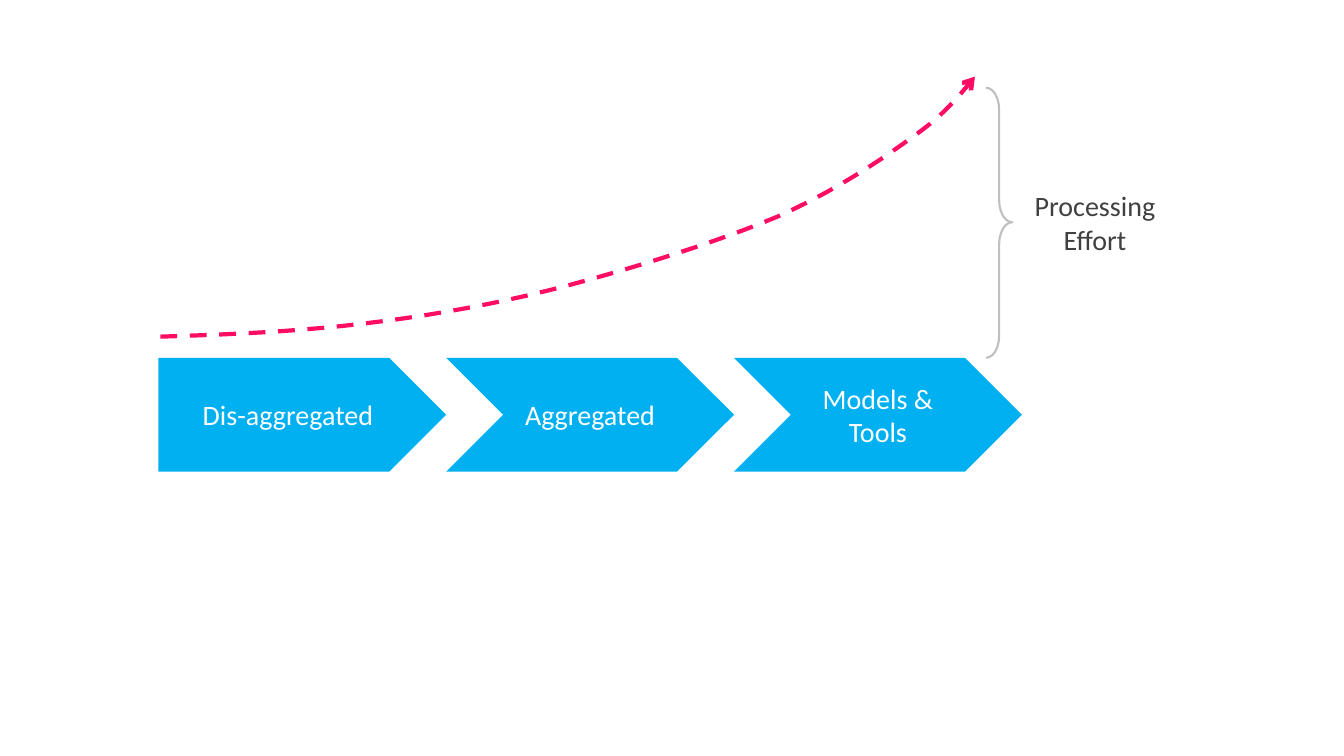
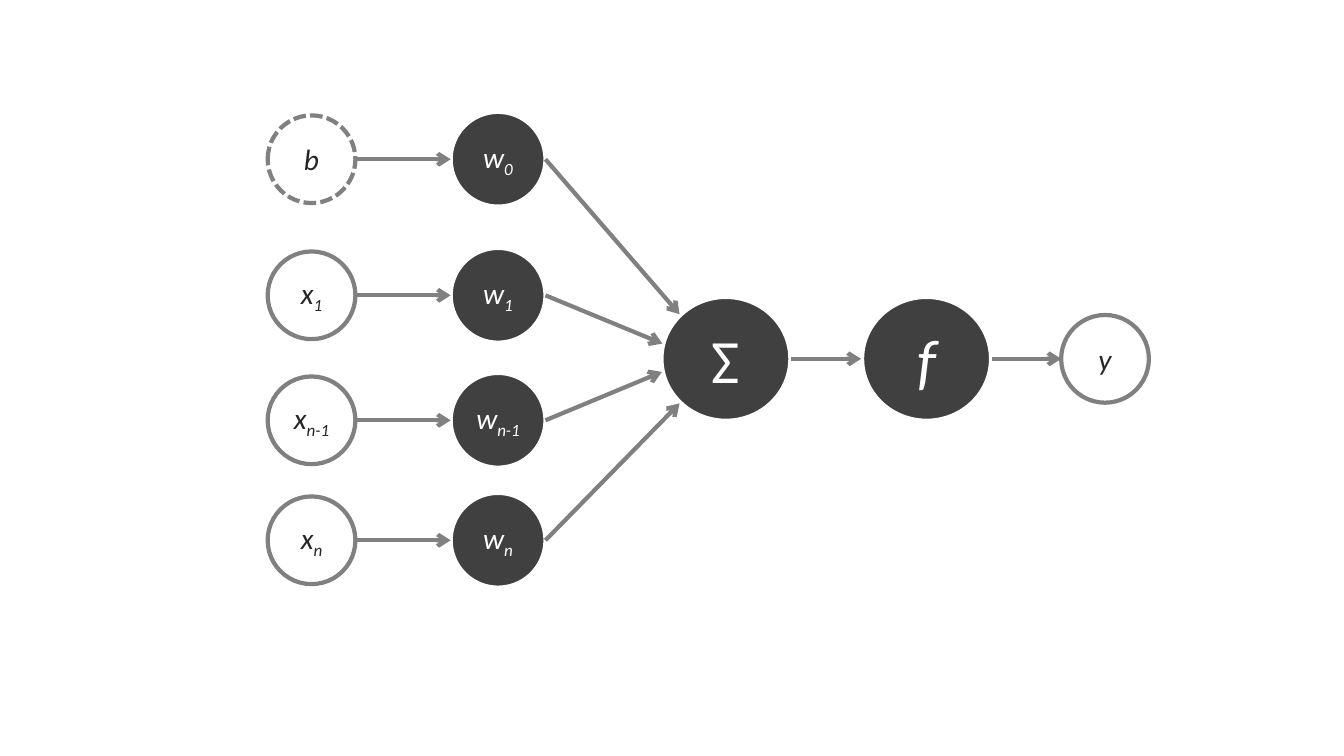
from math import cos, radians, sin

from lxml.etree import SubElement
from pptx import Presentation
from pptx.dml.color import RGBColor
from pptx.enum.dml import MSO_LINE
from pptx.enum.shapes import MSO_CONNECTOR, MSO_SHAPE as SHAPE
from pptx.enum.text import MSO_ANCHOR, PP_ALIGN
from pptx.oxml.ns import qn
from pptx.util import Inches, Pt

FONT = "Calibri"
WHITE = RGBColor(0xFF, 0xFF, 0xFF)
BLUE = RGBColor(0x00, 0xB0, 0xF0)
PINK = RGBColor(0xFF, 0x0C, 0x64)
DARK = RGBColor(0x40, 0x40, 0x40)
INK = RGBColor(0x26, 0x26, 0x26)
GREY = RGBColor(0x80, 0x80, 0x80)
LIGHT_GREY = RGBColor(0xBF, 0xBF, 0xBF)

# Processing stages: one row of equal columns
STAGE_LEFT, STAGE_TOP, STAGE_WIDTH, STAGE_HEIGHT = 1.57, 3.55, 2.855, 1.13
STAGES = [
    (SHAPE.PENTAGON, "Dis-aggregated"),
    (SHAPE.CHEVRON, "Aggregated"),
    (SHAPE.CHEVRON, "Models & Tools"),
]
EFFORT_START = (1.59, 3.34)
# Each Bezier piece: two control points and an end point
EFFORT_PIECES = [
    ((2.26, 3.32), (2.94, 3.29), (3.61, 3.21)),
    ((4.29, 3.13), (4.96, 3.01), (5.64, 2.83)),
    ((6.32, 2.65), (7.14, 2.39), (7.71, 2.15)),
    ((8.27, 1.90), (8.72, 1.60), (9.05, 1.36)),
    ((9.38, 1.13), (9.52, 0.94), (9.67, 0.76)),
]
CURVE_STEPS = 10

# Neuron: column centres, the middle row and node sizes
INPUT_X, WEIGHT_X, SUM_X, ACTIVATION_X, OUTPUT_X = 3.09, 4.94, 7.2, 9.19, 10.96
MIDDLE_Y = 3.56
OUTLINED_SIZE, WEIGHT_SIZE = (0.87, 0.87), (0.94, 0.94)
HUB_SIZE = (1.3, 1.25)
# Row centre, input name, subscripts of input and weight, angle of arrival
NEURON_ROWS = [
    (1.58, "b", "", "0", 45),
    (2.93, "x", "1", "1", 14),
    (4.17, "x", "n-1", "n-1", -12),
    (5.36, "x", "n", "n", -45),
]


def set_line(shape, color, width, dash=None):
    shape.line.color.rgb = color
    shape.line.width = Pt(width)
    if dash is not None:
        shape.line.dash_style = dash


def add_arrowhead(shape):
    ln = shape.element.spPr.find(qn("a:ln"))
    SubElement(ln, qn("a:tailEnd"), type="arrow")


def add_run(paragraph, text, size, color, italic=False, subscript=False):
    run = paragraph.add_run()
    run.text = text
    run.font.name = FONT
    run.font.size = Pt(size)
    run.font.color.rgb = color
    if italic:
        run.font.italic = True
    if subscript:
        run.font._element.set("baseline", "-25000")


def add_flat_shape(slide, kind, left, top, width, height, fill=None):
    shape = slide.shapes.add_shape(
        kind, Inches(left), Inches(top), Inches(width), Inches(height))
    shape.shadow.inherit = False
    if fill is None:
        shape.fill.background()
    else:
        shape.fill.solid()
        shape.fill.fore_color.rgb = fill
    return shape


def add_stage(slide, column, kind, label):
    stage = add_flat_shape(slide, kind, STAGE_LEFT + column * STAGE_WIDTH,
                           STAGE_TOP, STAGE_WIDTH, STAGE_HEIGHT, BLUE)
    stage.line.fill.background()
    paragraph = stage.text_frame.paragraphs[0]
    paragraph.alignment = PP_ALIGN.CENTER
    add_run(paragraph, label, 20, WHITE)


def add_label(slide, left, top, width, height, lines):
    label = slide.shapes.add_textbox(
        Inches(left), Inches(top), Inches(width), Inches(height))
    frame = label.text_frame
    frame.word_wrap = False
    for index, text in enumerate(lines):
        paragraph = frame.add_paragraph() if index else frame.paragraphs[0]
        paragraph.alignment = PP_ALIGN.CENTER
        add_run(paragraph, text, 20, DARK)


def bezier_points(start, control_1, control_2, end):
    for step in range(1, CURVE_STEPS + 1):
        t = step / CURVE_STEPS
        u = 1 - t
        yield tuple(
            Inches(u**3 * a + 3 * u * u * t * b + 3 * u * t * t * c + t**3 * d)
            for a, b, c, d in zip(start, control_1, control_2, end))


def add_effort_curve(slide):
    builder = slide.shapes.build_freeform(*map(Inches, EFFORT_START))
    start = EFFORT_START
    for piece in EFFORT_PIECES:
        builder.add_line_segments(bezier_points(start, *piece), close=False)
        start = piece[-1]
    curve = builder.convert_to_shape()
    curve.shadow.inherit = False
    curve.fill.background()
    set_line(curve, PINK, 3, MSO_LINE.DASH)
    add_arrowhead(curve)


def add_node(slide, center, size, name, subscript="", fill=None,
             line=(GREY, 3), color=INK, font_size=21, italic=True):
    """Add a circle around its centre, with a name and a subscript."""
    (x, y), (width, height) = center, size
    node = add_flat_shape(slide, SHAPE.OVAL, x - width / 2, y - height / 2,
                          width, height, fill)
    set_line(node, *line)
    frame = node.text_frame
    frame.word_wrap = False
    frame.vertical_anchor = MSO_ANCHOR.MIDDLE
    paragraph = frame.paragraphs[0]
    paragraph.alignment = PP_ALIGN.CENTER
    add_run(paragraph, name, font_size, color, italic)
    if subscript:
        add_run(paragraph, subscript, font_size, color, italic, subscript=True)


def add_hub(slide, x, symbol, italic):
    add_node(slide, (x, MIDDLE_Y), HUB_SIZE, symbol, fill=DARK,
             line=(WHITE, 4.5), color=WHITE, font_size=44, italic=italic)


def add_arrow(slide, start, end):
    arrow = slide.shapes.add_connector(
        MSO_CONNECTOR.STRAIGHT, *map(Inches, start + end))
    set_line(arrow, GREY, 3)
    add_arrowhead(arrow)
    SubElement(arrow.element.spPr, qn("a:effectLst"))


def add_level_arrow(slide, y, from_x, from_size, to_x, to_size):
    """Join the facing edges of two nodes of one row."""
    add_arrow(slide, (from_x + from_size[0] / 2, y), (to_x - to_size[0] / 2, y))


def build_effort_slide(slide):
    for column, (kind, label) in enumerate(STAGES):
        add_stage(slide, column, kind, label)
    brace = add_flat_shape(slide, SHAPE.RIGHT_BRACE, 9.78, 0.87, 0.26, 2.68)
    brace.adjustments[0] = 0.837
    brace.adjustments[1] = 0.498
    set_line(brace, LIGHT_GREY, 1.5)
    add_label(slide, 10.12, 1.82, 1.48, 0.77, ["Processing", "Effort"])
    add_effort_curve(slide)


def build_neuron_slide(slide):
    add_hub(slide, SUM_X, "Σ", italic=False)
    add_hub(slide, ACTIVATION_X, "f", italic=True)
    add_node(slide, (OUTPUT_X, MIDDLE_Y), OUTLINED_SIZE, "y")
    add_level_arrow(slide, MIDDLE_Y, SUM_X, HUB_SIZE, ACTIVATION_X, HUB_SIZE)
    add_level_arrow(slide, MIDDLE_Y, ACTIVATION_X, HUB_SIZE,
                    OUTPUT_X, OUTLINED_SIZE)

    for y, name, input_index, weight_index, angle in NEURON_ROWS:
        is_bias = name == "b"
        add_node(slide, (INPUT_X, y), OUTLINED_SIZE, name, input_index,
                 line=(GREY, 3, MSO_LINE.SQUARE_DOT if is_bias else None))
        add_node(slide, (WEIGHT_X, y), WEIGHT_SIZE, "w", weight_index,
                 fill=DARK, line=(WHITE, 3), color=WHITE)
        add_level_arrow(slide, y, INPUT_X, OUTLINED_SIZE, WEIGHT_X, WEIGHT_SIZE)
        arrival = (SUM_X - HUB_SIZE[0] / 2 * cos(radians(angle)),
                   MIDDLE_Y - HUB_SIZE[1] / 2 * sin(radians(angle)))
        add_arrow(slide, (WEIGHT_X + WEIGHT_SIZE[0] / 2, y), arrival)


def main():
    deck = Presentation()
    deck.slide_width, deck.slide_height = Inches(13.33), Inches(7.5)
    blank = deck.slide_layouts[6]
    for build in (build_effort_slide, build_neuron_slide):
        build(deck.slides.add_slide(blank))
    deck.save("out.pptx")


if __name__ == "__main__":
    main()
